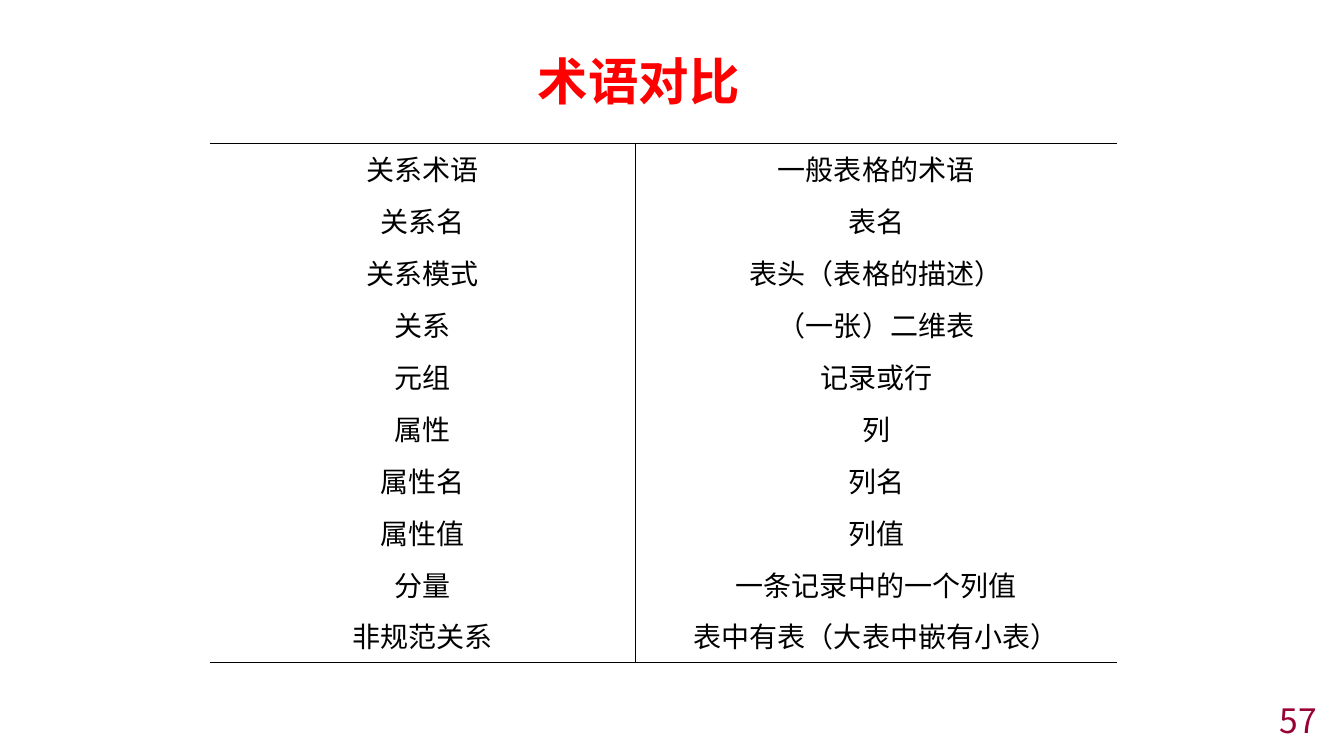
from lxml.etree import SubElement as Sub, Element as Elem
from pptx import Presentation as Deck
from pptx.dml.color import RGBColor as RGB
from pptx.enum.text import MSO_ANCHOR as Anchor, PP_ALIGN as Align
from pptx.oxml.ns import qn
from pptx.util import Inches, Pt

FONT = "Noto Sans CJK SC"
BLACK = RGB(0, 0, 0)
RED = RGB(255, 0, 0)
WINE = RGB(0x99, 0, 0x33)

TERMS = [
    ("关系术语", "一般表格的术语"),
    ("关系名", "表名"),
    ("关系模式", "表头（表格的描述）"),
    ("关系", "（一张）二维表"),
    ("元组", "记录或行"),
    ("属性", "列"),
    ("属性名", "列名"),
    ("属性值", "列值"),
    ("分量", "一条记录中的一个列值"),
    ("非规范关系", "表中有表（大表中嵌有小表）"),
]
WIDTHS = (4.22, 4.78)
HEIGHT = 5.15


def write(frame, text, align, color, **form):
    """Put one styled run into a text frame."""
    para = frame.paragraphs[0]
    para.alignment = align
    run = para.add_run()
    run.text = text
    run.font.color.rgb = color
    for key, value in {"name": FONT, **form}.items():
        setattr(run.font, key, value)
    Sub(run.font._element, qn("a:ea"), typeface=FONT)


def label(slide, place, text, align, color, foot=0, **form):
    """Add a text box with its text centred in height."""
    frame = slide.shapes.add_textbox(*map(Inches, place)).text_frame
    layout = {"word_wrap": True, "vertical_anchor": Anchor.MIDDLE,
              "margin_top": 0, "margin_bottom": Inches(foot)}
    for key, value in layout.items():
        setattr(frame, key, value)
    write(frame, text, align, color, **form)


def border(cell, sides):
    """Rule the given sides of a cell and clear the others."""
    props = cell._tc.get_or_add_tcPr()
    for index, side in enumerate("LRTB"):
        line = Elem(qn("a:ln" + side), w=str(Pt(1)))
        if side in sides:
            fill = Sub(line, qn("a:solidFill"))
            Sub(fill, qn("a:srgbClr"), val=str(BLACK))
        else:
            Sub(line, qn("a:noFill"))
        props.insert(index, line)


def grid(slide, left, top):
    """Add the table of paired terms."""
    count = len(TERMS)
    table = slide.shapes.add_table(
        count, len(WIDTHS), Inches(left), Inches(top),
        Inches(sum(WIDTHS)), Inches(HEIGHT)).table
    table.first_row = table.horz_banding = False
    for column, width in zip(table.columns, WIDTHS):
        column.width = Inches(width)
    for r, pair in enumerate(TERMS):
        table.rows[r].height = Inches(HEIGHT / count)
        for c, term in enumerate(pair):
            cell = table.cell(r, c)
            cell.fill.background()
            edge = "T" if r == 0 else "B" if r == count - 1 else ""
            border(cell, "RL"[c] + edge)
            write(cell.text_frame, term, Align.CENTER, BLACK, size=Pt(20))


def main():
    deck = Deck()
    deck.slide_width, deck.slide_height = Inches(13.33), Inches(7.5)
    slide = deck.slides.add_slide(deck.slide_layouts[6])
    # Page number
    label(slide, (10.33, 6.99, 2.83, 0.31), "57", Align.RIGHT, WINE,
          size=Pt(24))
    # Terms
    grid(slide, 2.08, 1.42)
    # Title
    label(slide, (5.17, 0.47, 2.33, 0.71), "术语对比", Align.CENTER, RED,
          foot=0.05, size=Pt(36), bold=True)
    deck.save("out.pptx")


if __name__ == "__main__":
    main()
